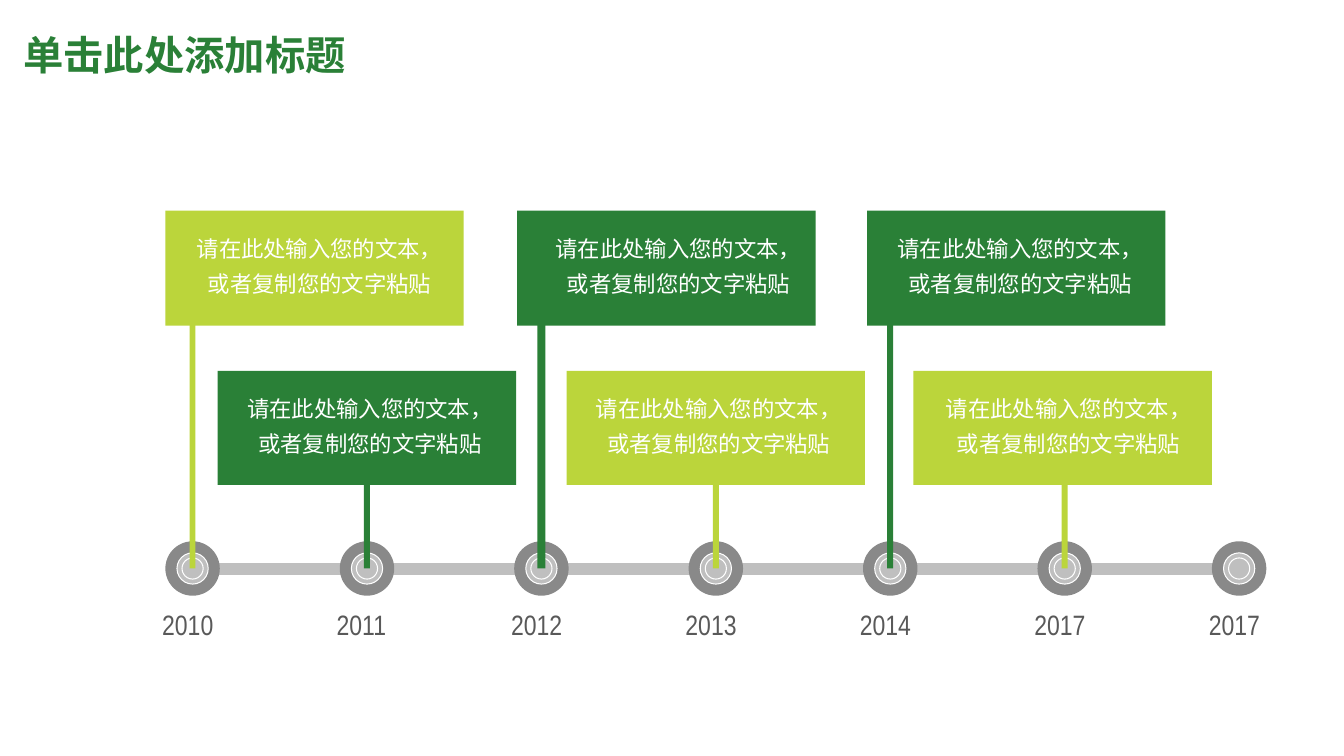
import pptx
import pptx.util
import pptx.dml.color
import pptx.enum.shapes
import pptx.enum.text
import lxml.etree

RGB = pptx.dml.color.RGBColor
GREEN = RGB(0x2A, 0x80, 0x37)
LIME = RGB(0xBB, 0xD5, 0x3B)
RIM = RGB(0x89, 0x89, 0x89)
GREY = RGB(0xBF, 0xBF, 0xBF)
INK = RGB(0x59, 0x59, 0x59)
WHITE = RGB(0xFF, 0xFF, 0xFF)

KIND = pptx.enum.shapes.MSO_SHAPE
ALIGN = pptx.enum.text.PP_ALIGN
FIT = pptx.enum.text.MSO_AUTO_SIZE
NOTO = "Noto Sans CJK SC"

TITLE = "单击此处添加标题"
NOTE = "请在此处输入您的文本，或者复制您的文字粘贴"
YEARS = ["2010", "2011", "2012", "2013", "2014", "2017", "2017"]

FIRST, PITCH = 1.91, 1.73  # centre of the first year, step between years
AXIS = 5.64
BOX_W, TEXT_W = 2.96, 2.8
ROWS = [(2.09, 1.14), (3.68, 1.13)]  # top and height of the two rows of cards
RINGS = [(0.54, RIM, None), (0.31, GREY, WHITE), (0.21, GREY, WHITE)]

# card left, text left, stem top, stem width, colour; one per year
CARDS = [
    (1.64, 1.77, 2.32, 0.06, LIME),
    (2.16, 2.27, 3.8, 0.06, GREEN),
    (5.13, 5.33, 2.7, 0.08, GREEN),
    (5.62, 5.73, 4.19, 0.06, LIME),
    (8.6, 8.72, 2.9, 0.06, GREEN),
    (9.06, 9.2, 4.19, 0.06, LIME),
]


def column(num):
    return FIRST + num * PITCH


def inches(*sizes):
    return [pptx.util.Inches(size) for size in sizes]


def assign(item, form):
    for name, value in form.items():
        setattr(item, name, value)


def draw(slide, kind, area, fill, line=None):
    shape = slide.shapes.add_shape(kind, *inches(*area))
    shape.shadow.inherit = False
    shape.fill.solid()
    shape.fill.fore_color.rgb = fill
    if line is None:
        shape.line.fill.background()
    else:
        shape.line.color.rgb = line
        shape.line.width = pptx.util.Pt(0.75)


def write(frame, text, tint, font, para=None):
    frame.text = text
    first = frame.paragraphs[0]
    assign(first, para or {})
    run = first.runs[0]
    assign(run.font, font)
    run.font.color.rgb = tint
    return run


def label(slide, text, area, wrap, tint, font, para=None):
    box = slide.shapes.add_textbox(*inches(*area))
    assign(box.text_frame, {"word_wrap": wrap, "auto_size": FIT.SHAPE_TO_FIT_TEXT})
    return write(box.text_frame, text, tint, font, para)


def heading(slide):
    title = slide.shapes.title
    places = inches(0.13, 0.27, 12, 0.54)
    assign(title, dict(zip(("left", "top", "width", "height"), places)))
    middle = pptx.enum.text.MSO_ANCHOR.MIDDLE
    assign(title.text_frame, {"vertical_anchor": middle, "auto_size": FIT.NONE})
    font = {"size": pptx.util.Pt(28.8), "name": "Calibri", "bold": True}
    write(title.text_frame, TITLE, GREEN, font, {"alignment": ALIGN.LEFT})


def track(slide):
    length = (len(YEARS) - 1) * PITCH
    draw(slide, KIND.RECTANGLE, (FIRST, AXIS - 0.06, length, 0.13), GREY, WHITE)
    for num in range(len(YEARS)):
        for size, fill, line in RINGS:
            area = (column(num) - size / 2, AXIS - size / 2, size, size)
            draw(slide, KIND.OVAL, area, fill, line)


def cards(slide):
    for num, (left, _, stem, wide, tint) in enumerate(CARDS):
        top, high = ROWS[num % 2]
        draw(slide, KIND.RECTANGLE, (left, top, BOX_W, high), tint)
        area = (column(num) - wide / 2, stem, wide, AXIS - stem)
        draw(slide, KIND.RECTANGLE, area, tint)


def years(slide):
    font = {"size": pptx.util.Pt(20), "name": "Arial Narrow"}
    for num, year in enumerate(YEARS):
        area = (column(num) - 0.4, 5.98, 0.75, 0.44)
        label(slide, year, area, False, INK, font)


def notes(slide):
    font = {"size": pptx.util.Pt(16), "name": NOTO}
    para = {"alignment": ALIGN.CENTER, "line_spacing": 1.3}
    for num, card in enumerate(CARDS):
        area = (card[1], ROWS[num % 2][0] + 0.11, TEXT_W, 0.77)
        run = label(slide, NOTE, area, True, WHITE, font, para)
        east = pptx.oxml.ns.qn("a:ea")
        lxml.etree.SubElement(run.font._element, east, typeface=NOTO)


def main():
    deck = pptx.Presentation()
    deck.slide_width, deck.slide_height = inches(13.33, 7.5)
    slide = deck.slides.add_slide(deck.slide_layouts.get_by_name("Title Only"))
    for part in (track, cards, years, notes, heading):
        part(slide)
    deck.save("out.pptx")


if __name__ == "__main__":
    main()
